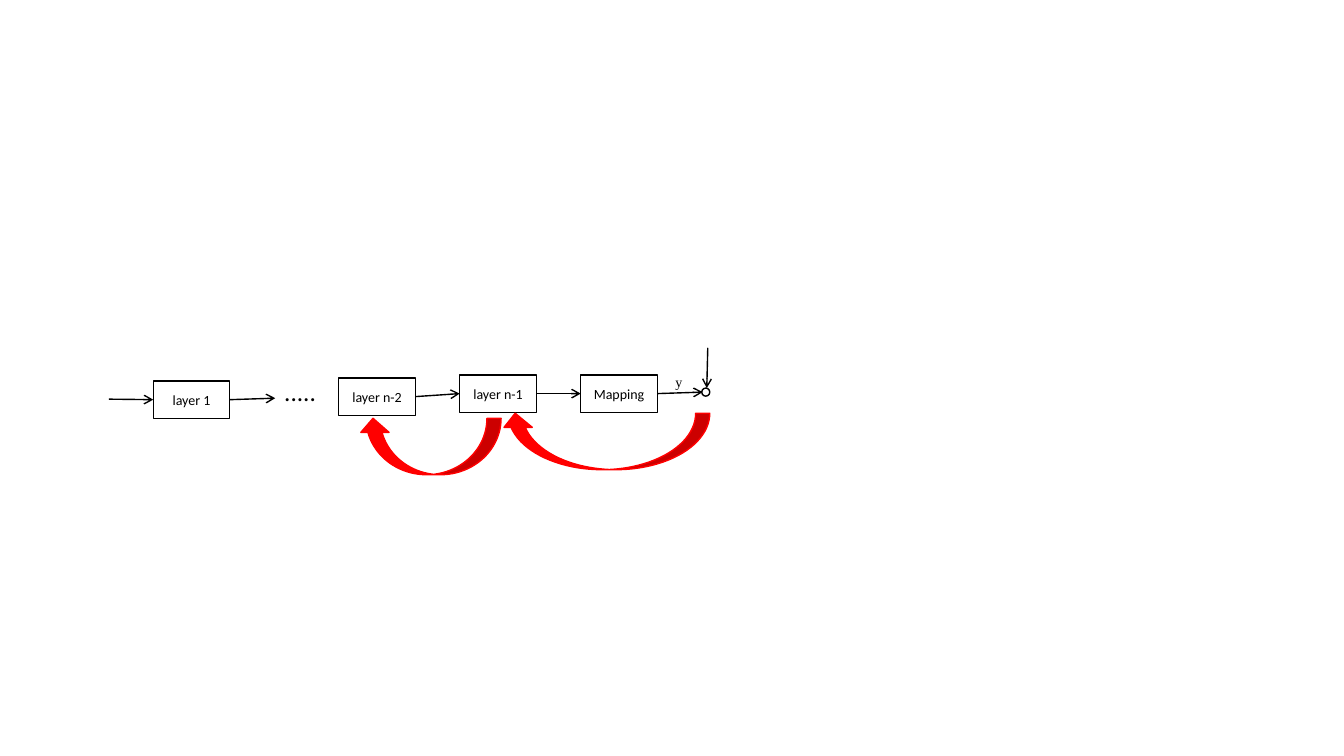
from lxml.etree import SubElement
from pptx import Presentation
from pptx.dml.color import RGBColor
from pptx.enum.shapes import MSO_CONNECTOR, MSO_SHAPE
from pptx.enum.text import MSO_ANCHOR, PP_ALIGN
from pptx.oxml.ns import qn
from pptx.util import Inches, Pt

BLACK = RGBColor(0, 0, 0)
RED = RGBColor(255, 0, 0)
BOX_W, BOX_H = 0.76, 0.37
STEP = 0.45


def write(shape, text, size=10, font="Calibri", align=PP_ALIGN.LEFT,
          anchor=MSO_ANCHOR.TOP, wrap=True):
    frame = shape.text_frame
    frame.word_wrap = wrap
    frame.vertical_anchor = anchor
    para = frame.paragraphs[0]
    para.alignment = align
    run = para.add_run()
    run.text = text
    run.font.size = Pt(size)
    run.font.name = font
    run.font.color.rgb = BLACK


def label(slide, text, x, y, w, h, **form):
    box = slide.shapes.add_textbox(Inches(x), Inches(y), Inches(w), Inches(h))
    write(box, text, wrap=False, **form)
    return box


def draw(slide, kind, x, y, w, h, color=BLACK, fill=None):
    shape = slide.shapes.add_shape(
        kind, Inches(x), Inches(y), Inches(w), Inches(h))
    shape.shadow.inherit = False
    if fill is None:
        shape.fill.background()
    else:
        shape.fill.solid()
        shape.fill.fore_color.rgb = fill
    shape.line.color.rgb = color
    shape.line.width = Pt(1)
    return shape


def layer(slide, text, x, y):
    box = draw(slide, MSO_SHAPE.RECTANGLE, x, y, BOX_W, BOX_H)
    write(box, text, align=PP_ALIGN.CENTER, anchor=MSO_ANCHOR.MIDDLE)
    return box


def arrow(slide, x, y, to_x, to_y, start=None, end=None):
    line = slide.shapes.add_connector(
        MSO_CONNECTOR.STRAIGHT, Inches(x), Inches(y), Inches(to_x), Inches(to_y))
    if start is not None:
        line.begin_connect(start, 3)
    if end is not None:
        line.end_connect(end, 1)
    line.line.color.rgb = BLACK
    line.line.width = Pt(1)
    SubElement(line.line._get_or_add_ln(), qn("a:tailEnd"), type="arrow")
    SubElement(line._element.spPr, qn("a:effectLst"))


def chain(slide, x, y):
    first = layer(slide, "layer 1", x + 0.44, y + 0.06)
    prior = layer(slide, "layer n-2", x + 2.28, y + 0.03)
    last = layer(slide, "layer n-1", x + 3.48, y)
    final = layer(slide, "Mapping", x + 4.68, y)
    arrow(slide, x, y + 0.24, x + 0.44, y + 0.23, end=first)
    arrow(slide, x + 1.2, y + 0.24, x + 1.65, y + 0.23, start=first)
    for a, b in ((prior, last), (last, final)):
        arrow(slide, x, y, x + STEP, y, start=a, end=b)
    arrow(slide, x + 5.44, y + 0.18, x + 5.89, y + 0.17, start=final)
    label(slide, ".....", x + 1.64, y - 0.04, 0.52, 0.4, size=18)
    out = label(slide, "y", x + 5.52, y - 0.17, 0.36, 0.34,
                font="Times New Roman", anchor=MSO_ANCHOR.BOTTOM)
    out.text_frame.margin_bottom = Inches(0.02)


def target(slide, x, y):
    arrow(slide, x + 0.06, y, x + 0.05, y + 0.4)
    draw(slide, MSO_SHAPE.OVAL, x, y + 0.4, 0.08, 0.08)


def feedback(slide, x, y):
    for dx, dy, w in ((1.41, 0, 2.07), (0, 0.05, 1.41)):
        curve = draw(slide, MSO_SHAPE.CURVED_UP_ARROW, x + dx, y + dy, w, 0.56,
                     color=RED, fill=RED)
        curve._element.spPr.find(qn("a:xfrm")).set("flipH", "1")


def main():
    deck = Presentation()
    deck.slide_width = Inches(13.33)
    deck.slide_height = Inches(7.5)
    slide = deck.slides.add_slide(deck.slide_layouts[6])
    chain(slide, 1.08, 3.72)
    target(slide, 6.96, 3.45)
    feedback(slide, 3.56, 4.1)
    deck.save("out.pptx")


if __name__ == "__main__":
    main()
